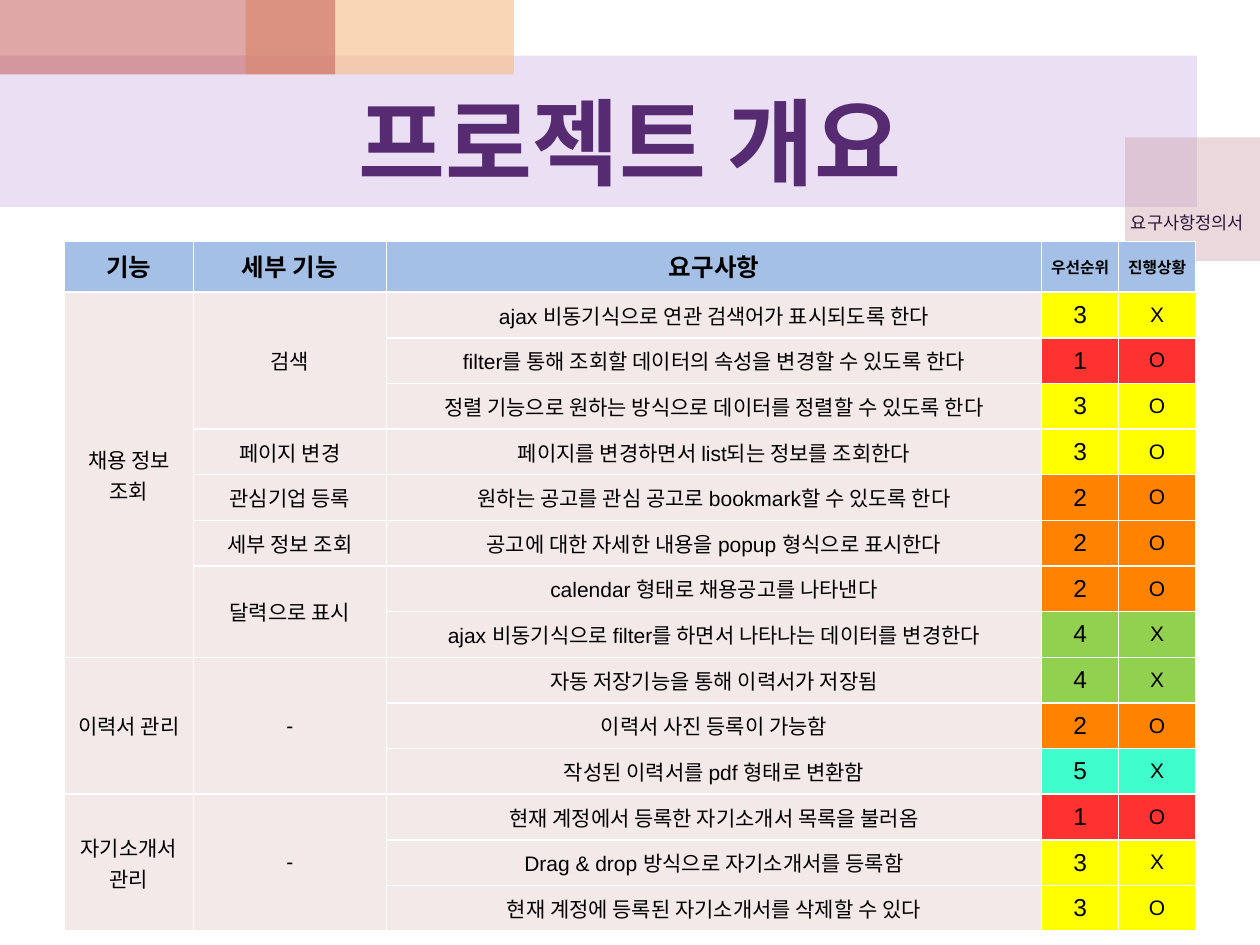
from dataclasses import dataclass

from lxml import etree
from pptx import Presentation
from pptx.dml.color import RGBColor
from pptx.enum.shapes import MSO_SHAPE
from pptx.enum.text import MSO_ANCHOR, PP_ALIGN
from pptx.oxml.ns import qn
from pptx.util import Cm, Pt

RECTANGLE = MSO_SHAPE.RECTANGLE
TOP, MIDDLE = MSO_ANCHOR.TOP, MSO_ANCHOR.MIDDLE
LEFT, CENTER = PP_ALIGN.LEFT, PP_ALIGN.CENTER


@dataclass(frozen=True)
class Theme:
    title_font: str = "Noto Sans CJK KR"
    caption_font: str = "Cabin"
    table_font: str = "Arial"
    title_size: float = 54
    heading_size: float = 14
    small_heading_size: float = 9
    body_size: float = 12
    priority_size: float = 14
    caption_size: float = 10
    title: str = "562B71"
    caption: str = "2B1639"
    ink: str = "000000"
    border: str = "FFFFFF"
    heading_fill: str = "A5C0E6"
    body_fill: str = "F4E9E9"
    priority_fills: tuple[str, ...] = ("FF3232", "FF8200", "FFFF00", "92D050", "40FECC")


@dataclass(frozen=True)
class Band:
    left: float
    top: float
    width: float
    height: float
    color: str
    opacity: int


@dataclass(frozen=True)
class TextStyle:
    font: str
    size: float
    color: str
    bold: bool = False
    align: PP_ALIGN = CENTER


@dataclass(frozen=True)
class Requirement:
    text: str
    priority: int
    status: str


@dataclass(frozen=True)
class Detail:
    name: str
    requirements: tuple[Requirement, ...]


@dataclass(frozen=True)
class Feature:
    name: str
    details: tuple[Detail, ...]


THEME = Theme()
BANDS = (
    Band(0, 1.12, 24.13, 3.05, "BF98D8", 30),
    Band(22.68, 2.77, 2.72, 2.49, "CC9EAC", 40),
    Band(4.95, 0, 5.41, 1.5, "F5BC83", 60),
    Band(0, 0, 6.76, 1.5, "C0504D", 50),
)
HEADINGS = ("기능", "세부 기능", "요구사항", "우선순위", "진행상황")
COLUMN_WIDTHS = (2.6, 3.89, 13.21, 1.55, 1.55)
HEADING_HEIGHT, ROW_HEIGHT = 1.02, 0.92
FEATURES = (
    Feature("채용 정보 조회", (
        Detail("검색", (
            Requirement("ajax 비동기식으로 연관 검색어가 표시되도록 한다", 3, "X"),
            Requirement("filter를 통해 조회할 데이터의 속성을 변경할 수 있도록 한다", 1, "O"),
            Requirement("정렬 기능으로 원하는 방식으로 데이터를 정렬할 수 있도록 한다", 3, "O"),
        )),
        Detail("페이지 변경", (Requirement("페이지를 변경하면서 list되는 정보를 조회한다", 3, "O"),)),
        Detail("관심기업 등록", (
            Requirement("원하는 공고를 관심 공고로 bookmark할 수 있도록 한다", 2, "O"),
        )),
        Detail("세부 정보 조회", (
            Requirement("공고에 대한 자세한 내용을 popup 형식으로 표시한다", 2, "O"),
        )),
        Detail("달력으로 표시", (
            Requirement("calendar 형태로 채용공고를 나타낸다", 2, "O"),
            Requirement("ajax 비동기식으로 filter를 하면서 나타나는 데이터를 변경한다", 4, "X"),
        )),
    )),
    Feature("이력서 관리", (
        Detail("-", (
            Requirement("자동 저장기능을 통해 이력서가 저장됨", 4, "X"),
            Requirement("이력서 사진 등록이 가능함", 2, "O"),
            Requirement("작성된 이력서를 pdf 형태로 변환함", 5, "X"),
        )),
    )),
    Feature("자기소개서 관리", (
        Detail("-", (
            Requirement("현재 계정에서 등록한 자기소개서 목록을 불러옴", 1, "O"),
            Requirement("Drag & drop 방식으로 자기소개서를 등록함", 3, "X"),
            Requirement("현재 계정에 등록된 자기소개서를 삭제할 수 있다", 3, "O"),
        )),
    )),
)


def write(frame, text: str, style: TextStyle) -> None:
    paragraph = frame.paragraphs[0]
    paragraph.text = text
    paragraph.alignment = style.align
    paragraph.font.name = style.font
    paragraph.font.size = Pt(style.size)
    paragraph.font.bold = style.bold
    paragraph.font.color.rgb = RGBColor.from_string(style.color)


def draw_band(slide, band: Band) -> None:
    block = slide.shapes.add_shape(
        RECTANGLE, Cm(band.left), Cm(band.top), Cm(band.width), Cm(band.height))
    block.shadow.inherit = False
    block.line.fill.background()
    block.fill.solid()
    block.fill.fore_color.rgb = RGBColor.from_string(band.color)
    color = block.fill._xPr.find(f".//{qn('a:srgbClr')}")
    etree.SubElement(color, qn("a:alpha"), val=str(band.opacity * 1000))


def draw_text(slide, left: float, top: float, width: float, height: float,
              text: str, style: TextStyle, anchor: MSO_ANCHOR, wrap: bool) -> None:
    frame = slide.shapes.add_textbox(Cm(left), Cm(top), Cm(width), Cm(height)).text_frame
    frame.word_wrap = wrap
    frame.vertical_anchor = anchor
    write(frame, text, style)


def draw_borders(cell) -> None:
    properties = cell._tc.get_or_add_tcPr()
    for side in ("lnL", "lnR", "lnT", "lnB"):
        line = etree.SubElement(properties, qn(f"a:{side}"), w=str(Pt(1)))
        fill = etree.SubElement(line, qn("a:solidFill"))
        etree.SubElement(fill, qn("a:srgbClr"), val=THEME.border)


def fill_cell(cell, text: str, size: float, fill: str, bold: bool = False,
              margin: float = 0.13, anchor: MSO_ANCHOR = MIDDLE) -> None:
    draw_borders(cell)
    cell.fill.solid()
    cell.fill.fore_color.rgb = RGBColor.from_string(fill)
    cell.margin_left = cell.margin_right = Cm(margin)
    cell.margin_top = cell.margin_bottom = Cm(margin)
    cell.vertical_anchor = anchor
    write(cell.text_frame, text, TextStyle(THEME.table_font, size, THEME.ink, bold))


def fill_group(table, column: int, first: int, count: int, name: str) -> None:
    table.cell(first, column).merge(table.cell(first + count - 1, column))
    for offset in range(count):
        fill_cell(table.cell(first + offset, column), "" if offset else name,
                  THEME.body_size, THEME.body_fill)


def fill_requirement(table, row: int, requirement: Requirement) -> None:
    fill = THEME.priority_fills[requirement.priority - 1]
    fill_cell(table.cell(row, 2), requirement.text, THEME.body_size, THEME.body_fill)
    fill_cell(table.cell(row, 3), str(requirement.priority), THEME.priority_size, fill)
    fill_cell(table.cell(row, 4), requirement.status, THEME.body_size, fill, margin=0.18)


def draw_requirements(slide, left: float, top: float) -> None:
    count = sum(len(detail.requirements) for feature in FEATURES for detail in feature.details)
    table = slide.shapes.add_table(
        count + 1, len(HEADINGS), Cm(left), Cm(top),
        Cm(sum(COLUMN_WIDTHS)), Cm(HEADING_HEIGHT + count * ROW_HEIGHT)).table
    for column, width in zip(table.columns, COLUMN_WIDTHS):
        column.width = Cm(width)
    for index, table_row in enumerate(table.rows):
        table_row.height = Cm(ROW_HEIGHT if index else HEADING_HEIGHT)
    for column, heading in enumerate(HEADINGS):
        wide = column < 3
        fill_cell(table.cell(0, column), heading,
                  THEME.heading_size if wide else THEME.small_heading_size,
                  THEME.heading_fill, bold=True, anchor=TOP if wide else MIDDLE)
    row = 1
    for feature in FEATURES:
        feature_rows = sum(len(detail.requirements) for detail in feature.details)
        fill_group(table, 0, row, feature_rows, feature.name)
        for detail in feature.details:
            fill_group(table, 1, row, len(detail.requirements), detail.name)
            for requirement in detail.requirements:
                fill_requirement(table, row, requirement)
                row += 1


def main() -> None:
    deck = Presentation()
    deck.slide_width, deck.slide_height = Cm(25.4), Cm(19.05)
    slide = deck.slides.add_slide(deck.slide_layouts[6])
    for band in BANDS:
        draw_band(slide, band)
    draw_requirements(slide, 1.3, 4.87)
    draw_text(slide, 1.27, 1.5, 22.86, 2.67, "프로젝트 개요",
              TextStyle(THEME.title_font, THEME.title_size, THEME.title, True), MIDDLE, True)
    draw_text(slide, 22.55, 4.14, 3, 0.69, "요구사항정의서",
              TextStyle(THEME.caption_font, THEME.caption_size, THEME.caption, align=LEFT),
              TOP, False)
    deck.save("out.pptx")


if __name__ == "__main__":
    main()
